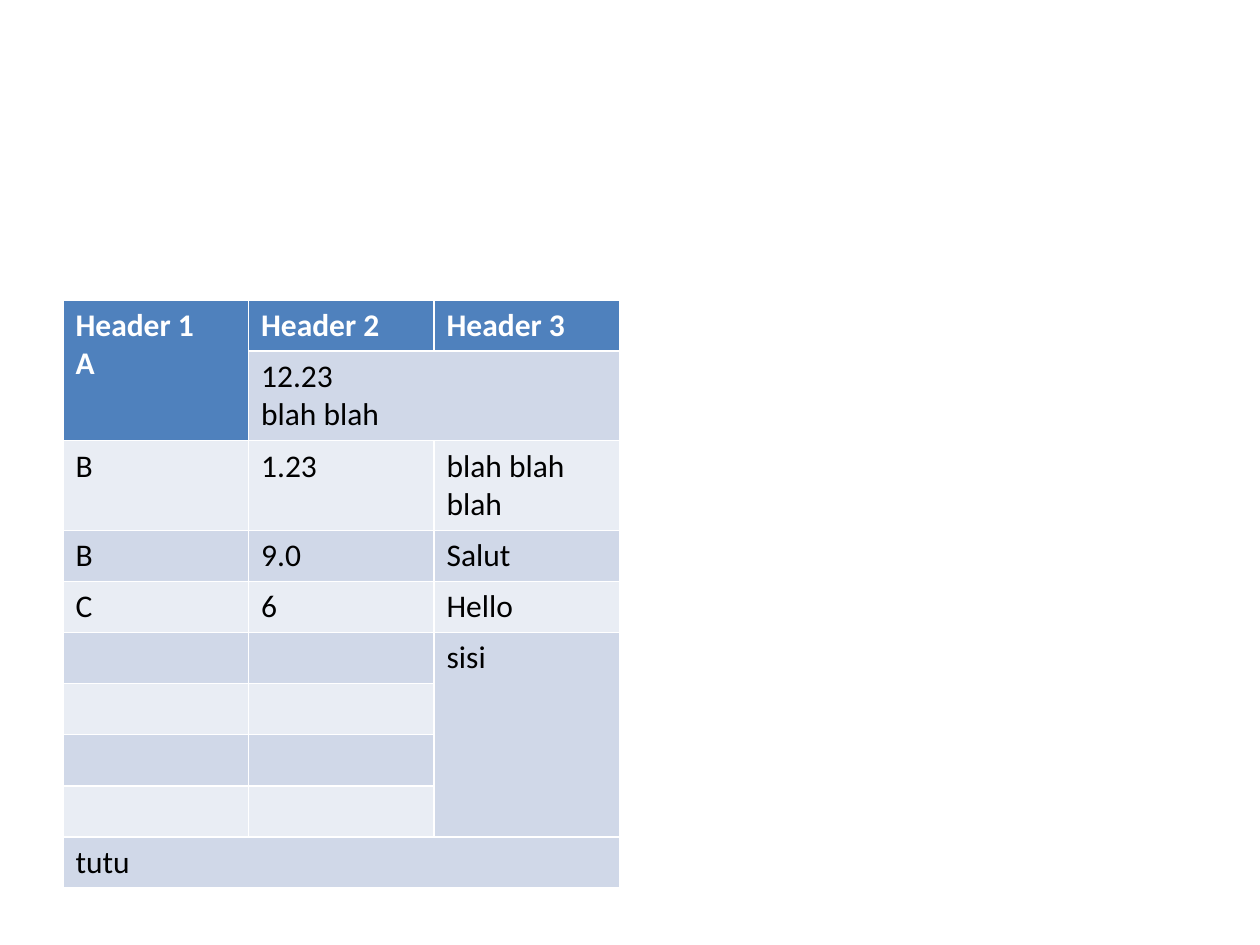
from pptx import Presentation
from pptx.dml.color import RGBColor
from pptx.util import Cm, Pt

COLORS = {"header": "4F81BD", "odd": "D0D8E8", "even": "E9EDF4",
          "light": "FFFFFF", "dark": "000000"}
ROWS = [
    ("Header 1\nA", "Header 2", "Header 3"),
    ("", "12.23\nblah blah", ""),
    ("B", "1.23", "blah blah blah"),
    ("B", "9.0", "Salut"),
    ("C", "6", "Hello"),
    ("", "", "sisi"),
    ("", "", ""),
    ("", "", ""),
    ("", "", ""),
    ("tutu", "", ""),
]
MERGES = [((0, 0), (1, 0)), ((1, 1), (1, 2)), ((5, 2), (8, 2)), ((9, 0), (9, 2))]
LEFT, TOP = 1.27, 6.05
COL_W, ROW_H = 3.74, 1.03


def write(cell, content, color="dark", bold=False, size=18, font="Calibri"):
    cell.text = content
    for p in cell.text_frame.paragraphs:
        for r in p.runs:
            r.font.name = font
            r.font.size = Pt(size)
            r.font.bold = bold
            r.font.color.rgb = RGBColor.from_string(COLORS[color])


def main():
    prs = Presentation()
    prs.slide_width, prs.slide_height = Cm(25.4), Cm(19.05)
    s = prs.slides.add_slide(prs.slide_layouts[6])
    n_rows, n_cols = len(ROWS), len(ROWS[0])
    table = s.shapes.add_table(n_rows, n_cols, Cm(LEFT), Cm(TOP),
                               Cm(COL_W * n_cols), Cm(ROW_H * n_rows)).table
    for col in table.columns:
        col.width = Cm(COL_W)
    for row in table.rows:
        row.height = Cm(ROW_H)
    for start, end in MERGES:
        table.cell(*start).merge(table.cell(*end))

    for i, row in enumerate(ROWS):
        header = i == 0
        band = "header" if header else "odd" if i % 2 else "even"
        for j, content in enumerate(row):
            cell = table.cell(i, j)
            cell.fill.solid()
            cell.fill.fore_color.rgb = RGBColor.from_string(COLORS[band])
            if content:
                write(cell, content, color="light" if header else "dark", bold=header)
    prs.save("out.pptx")


if __name__ == "__main__":
    main()
